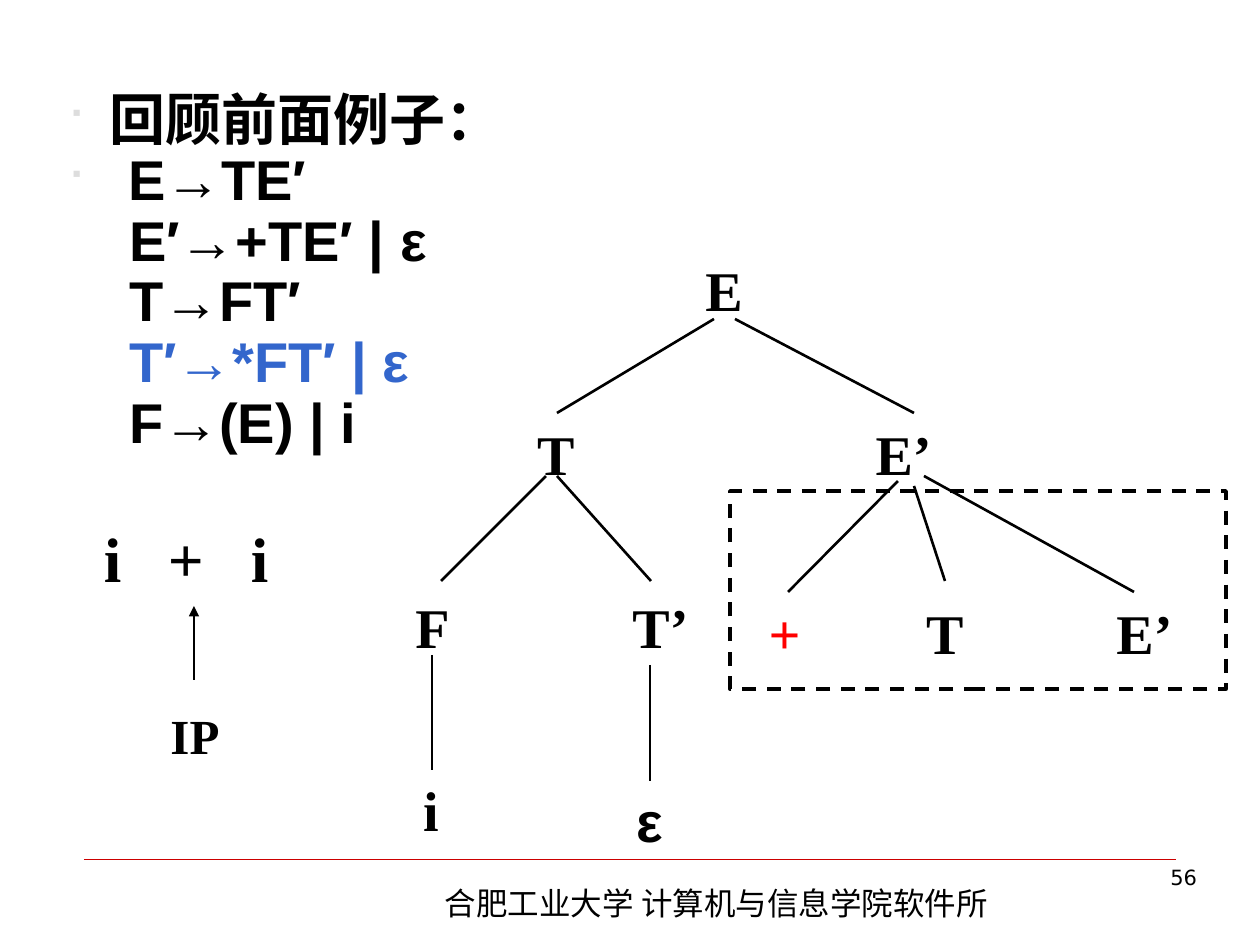
from dataclasses import dataclass

from lxml.etree import SubElement
from pptx import Presentation
from pptx.dml.color import RGBColor as Color
from pptx.enum.dml import MSO_LINE_DASH_STYLE as Dash
from pptx.enum.shapes import MSO_CONNECTOR as Connector, MSO_SHAPE as Shape
from pptx.enum.text import MSO_AUTO_SIZE as AutoSize, PP_ALIGN as Align
from pptx.oxml.ns import qn
from pptx.util import Emu, Pt

SCALE = 914400 / 126


@dataclass(frozen=True)
class Theme:
    """Colours, fonts and type sizes of the deck."""
    ink: str = "000000"
    accent: str = "3366CC"
    match: str = "FF0000"
    rule: str = "CC0000"
    bullet: str = "DDDDDD"
    serif: str = "Times New Roman"
    sans: str = "Arial"
    chinese: str = "Noto Sans CJK SC"
    number: str = "DejaVu Sans"
    symbol: str = "Wingdings"
    body: int = 32
    input: int = 36
    label: int = 28
    footer: int = 18
    small: int = 12


THEME = Theme()

GRAMMAR = [
    ("回顾前面例子：", THEME.ink, 42, True),
    ("E→TE′", THEME.ink, 61, True),
    ("E′→+TE′ | ε", THEME.ink, 62, False),
    ("T→FT′", THEME.ink, 62, False),
    ("T′→*FT′ | ε", THEME.accent, 62, False),
    ("F→(E) | i", THEME.ink, 62, False),
]
NODES = [
    ("E", 693, 249, 62, {}),
    ("T", 525, 413, 62, {}),
    ("E’", 863, 413, 81, {}),
    ("F", 403, 586, 59, {}),
    ("T’", 620, 586, 81, {}),
    ("i", 411, 770, 40, {}),
    ("ε", 625, 780, 49, {"name": THEME.sans}),
    ("+", 756, 592, 57, {"color": THEME.match}),
    ("T", 914, 592, 62, {}),
    ("E’", 1104, 592, 81, {}),
]
BRANCHES = [
    (714, 319, 557, 413), (735, 319, 914, 413),
    (546, 476, 441, 581), (557, 476, 651, 581),
    (432, 655, 432, 770), (650, 665, 650, 781),
    (898, 481, 788, 592), (914, 486, 945, 581), (924, 476, 1134, 592),
]


def px(value):
    """Turn pixels into EMU."""
    return Emu(round(value * SCALE))


def apply(target, values):
    """Set each named attribute of the target."""
    for name, value in values.items():
        setattr(target, name, value)


def add_box(page, at, wrap=True, left=13, right=13):
    """Add an empty text box of fixed size and return its text frame."""
    frame = page.shapes.add_textbox(*map(px, at)).text_frame
    apply(frame, {
        "word_wrap": wrap, "auto_size": AutoSize.NONE,
        "margin_left": px(left), "margin_right": px(right),
        "margin_top": px(6), "margin_bottom": px(6),
    })
    return frame


def add_span(para, text, size, name=THEME.serif, color=THEME.ink, bold=True):
    """Write one formatted run, with a Chinese fallback font."""
    span = para.add_run()
    span.text = text
    apply(span.font, {"size": Pt(size), "name": name, "bold": bold})
    span.font.color.rgb = Color.from_string(color)
    SubElement(span.font._element, qn("a:ea"), typeface=THEME.chinese)


def add_label(page, text, at, size, **style):
    """Add a centred label that uses the full width of its box."""
    para = add_box(page, at, wrap=False, left=0, right=0).paragraphs[0]
    para.alignment = Align.CENTER
    add_span(para, text, size, **style)


def add_note(page, text, at, size, align, name):
    """Add a line of plain text at the foot of the page."""
    para = add_box(page, at).paragraphs[0]
    para.alignment = align
    add_span(para, text, size, name, bold=False)


def add_line(page, ends, color=THEME.ink, width=1.5, arrow=False):
    """Add a straight line, with an arrowhead at its end on request."""
    line = page.shapes.add_connector(Connector.STRAIGHT, *map(px, ends))
    line.line.color.rgb = Color.from_string(color)
    line.line.width = Pt(width)
    if arrow:
        SubElement(line.line._get_or_add_ln(), qn("a:tailEnd"), type="triangle")
    SubElement(line._element.spPr, qn("a:effectLst"))


def add_dashed_frame(page, at):
    """Add an unfilled rectangle with a dashed outline."""
    frame = page.shapes.add_shape(Shape.RECTANGLE, *map(px, at))
    frame.shadow.inherit = False
    frame.fill.background()
    frame.line.color.rgb = Color.from_string(THEME.ink)
    apply(frame.line, {"width": Pt(2), "dash_style": Dash.DASH})


def add_bullet(props):
    """Give a paragraph a pale square bullet."""
    color = SubElement(props, qn("a:buClr"))
    SubElement(color, qn("a:srgbClr"), val=THEME.bullet)
    SubElement(props, qn("a:buSzPct"), val="75000")
    SubElement(props, qn("a:buFont"), typeface=THEME.symbol)
    SubElement(props, qn("a:buChar"), char="■")


def add_grammar(page, at):
    """List the productions under their heading."""
    frame = add_box(page, at)
    for index, (text, color, indent, bulleted) in enumerate(GRAMMAR):
        para = frame.add_paragraph() if index else frame.paragraphs[0]
        para.line_spacing = 0.9
        props = para._p.get_or_add_pPr()
        props.set("marL", str(px(indent)))
        props.set("indent", str(px(-indent if bulleted else 0)))
        if bulleted:
            add_bullet(props)
        add_span(para, text, THEME.body, THEME.sans, color)


def add_input(page, at, symbols, stops):
    """Set the input symbols on tab stops."""
    para = add_box(page, at, left=41).paragraphs[0]
    tabs = SubElement(para._p.get_or_add_pPr(), qn("a:tabLst"))
    for stop in stops:
        SubElement(tabs, qn("a:tab"), pos=str(px(stop)), algn="l")
    add_span(para, "\t".join(symbols), THEME.input)


def main():
    """Build the parse tree slide."""
    deck = Presentation()
    apply(deck, {"slide_width": px(1260), "slide_height": px(945)})
    page = deck.slides.add_slide(deck.slide_layouts[6])

    add_line(page, (84, 859, 1176, 859), THEME.rule, 0.25)
    add_note(page, "合肥工业大学 计算机与信息学院软件所", (432, 878, 605, 50),
             THEME.footer, Align.LEFT, THEME.chinese)

    add_input(page, (63, 514, 263, 88), ("i", "+", "i"), (64, 147))
    add_line(page, (194, 680, 194, 606), arrow=True)
    add_label(page, "IP", (158, 699, 74, 72), THEME.label)

    for text, left, top, width, style in NODES:
        add_label(page, text, (left, top, width, 81), THEME.body, **style)
    for ends in BRANCHES:
        add_line(page, ends)
    add_dashed_frame(page, (730, 491, 496, 198))

    add_grammar(page, (54, 86, 558, 436))
    add_note(page, "56", (937, 859, 273, 66), THEME.small, Align.RIGHT, THEME.number)
    deck.save("out.pptx")


if __name__ == "__main__":
    main()
